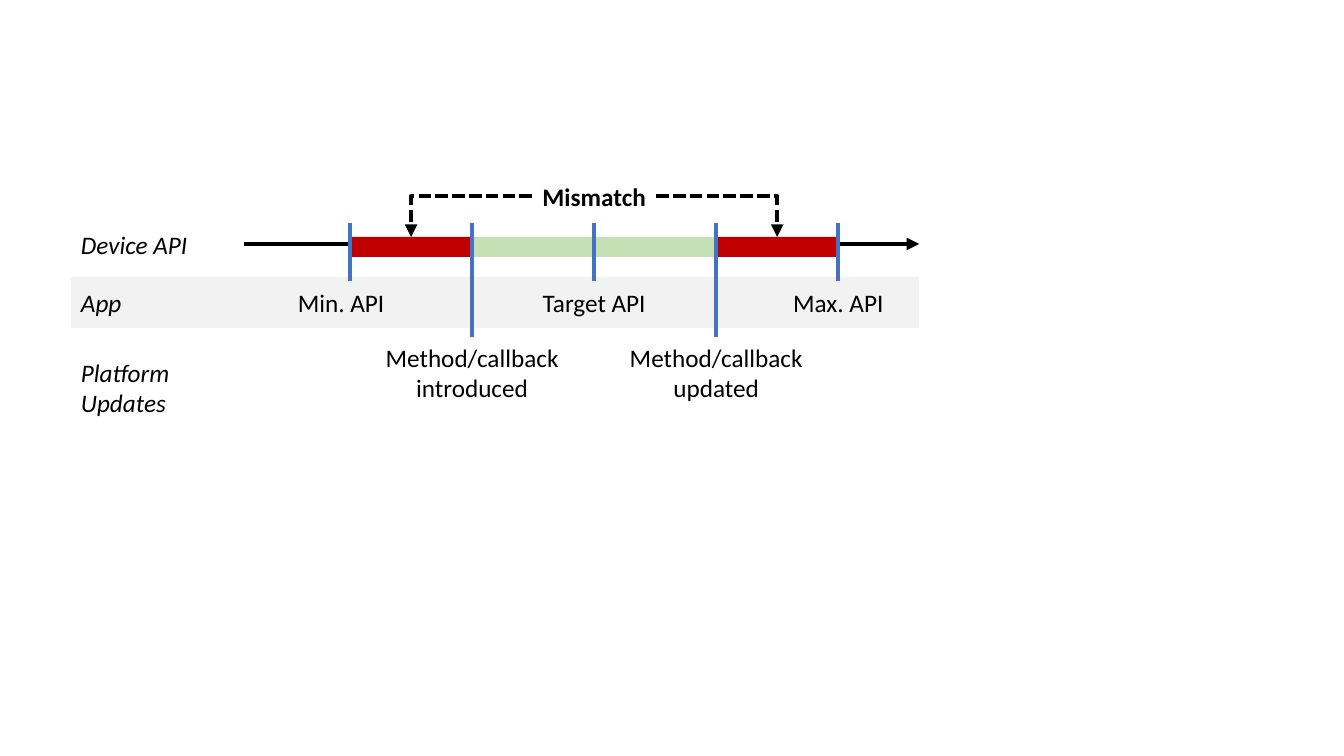
from lxml import etree
from pptx import Presentation
from pptx.dml.color import RGBColor
from pptx.enum.dml import MSO_LINE
from pptx.enum.shapes import MSO_CONNECTOR as CONN, MSO_SHAPE as SHAPE
from pptx.enum.text import MSO_AUTO_SIZE as AUTO, PP_ALIGN as ALIGN
from pptx.oxml.ns import qn
from pptx.util import Emu, Inches, Pt

COLORS = {"band": "F2F2F2", "ink": "000000", "mismatch": "C00000",
          "match": "C5E0B4", "tick": "4472C4"}
FONT = "Calibri"

# Content: row names (text, top), labels (lines, centre, top, width)
ROWS = [("Device API", 224, 129), ("App", 282, 61), ("Platform Updates", 352, 194)]
LABELS = [
    (["Min. API"], 341, 282, 108),
    (["Target API"], 594, 282, 124),
    (["Max. API"], 838, 282, 111),
    (["Method/callback", "introduced"], 472, 337, 196),
    (["Method/callback", "updated"], 716, 337, 196),
]
# Segments: first tick, last tick, colour
SEGMENTS = [(0, 1, "mismatch"), (3, 4, "mismatch"), (1, 3, "match")]
TICK_BOTTOMS = [281, 337, 281, 337, 281]

# Layout in px
LEFT, RIGHT = 71, 919
FIRST_TICK, TICK_GAP, TICK_TOP = 350, 122, 223
BAR_TOP, BAR_H, LINE_H = 237, 20, 36
AXIS_LEFT, AXIS_Y = 244, 244


def px(v):
    return Emu(round(v * 914400 / 100.8))


def rgb(name):
    return RGBColor.from_string(COLORS[name])


def add_rect(x, y, w, h, color):
    s = slide.shapes.add_shape(SHAPE.RECTANGLE, px(x), px(y), px(w), px(h))
    s.shadow.inherit = False
    s.fill.solid()
    s.fill.fore_color.rgb = rgb(color)
    s.line.fill.background()
    return s


def add_text(lines, x, y, w, align=ALIGN.CENTER, **style):
    h = 40 if len(lines) == 1 else 2 * LINE_H
    s = slide.shapes.add_textbox(px(x), px(y), px(w), px(h))
    tf = s.text_frame
    tf.word_wrap = False
    tf.auto_size = AUTO.SHAPE_TO_FIT_TEXT
    for i, line in enumerate(lines):
        p = tf.paragraphs[0] if i == 0 else tf.add_paragraph()
        p.alignment = align
        r = p.add_run()
        r.text = line
        r.font.color.rgb = rgb("ink")
        for key, value in {"name": FONT, "size": Pt(18), **style}.items():
            setattr(r.font, key, value)
    return s


def add_line(x1, y1, x2, y2, color, width, kind=CONN.STRAIGHT, arrow=False):
    c = slide.shapes.add_connector(kind, px(x1), px(y1), px(x2), px(y2))
    c.line.color.rgb = rgb(color)
    c.line.width = Pt(width)
    if arrow:
        etree.SubElement(c.line._get_or_add_ln(), qn("a:tailEnd"), type="triangle")
    etree.SubElement(c._element.spPr, qn("a:effectLst"))
    return c


prs = Presentation()
prs.slide_width, prs.slide_height = Inches(13.33), Inches(7.5)
slide = prs.slides.add_slide(prs.slide_layouts[6])
ticks = [FIRST_TICK + i * TICK_GAP for i in range(len(TICK_BOTTOMS))]

# App band and API axis
add_rect(LEFT, 277, RIGHT - LEFT, 51, "band")
add_line(AXIS_LEFT, AXIS_Y, RIGHT, AXIS_Y, "ink", 3, arrow=True)

# Row names and labels
for name, top, width in ROWS:
    add_text([name], LEFT, top, width, ALIGN.LEFT, italic=True)
for lines, centre, top, width in LABELS:
    add_text(lines, centre - width / 2, top, width)

# Segments and ticks
bars = [add_rect(ticks[a], BAR_TOP, ticks[b] - ticks[a], BAR_H, color)
        for a, b, color in SEGMENTS]
for x, bottom in zip(ticks, TICK_BOTTOMS):
    add_line(x, TICK_TOP, x, bottom, "tick", 2.5)

# Mismatch caption with a dashed arrow to each red segment
caption = add_text(["Mismatch"], ticks[2] - 62, 176, 124, bold=True)
for bar, side, x1, x2 in [(bars[0], 1, ticks[2] - 62, 411), (bars[1], 3, ticks[2] + 62, 777)]:
    c = add_line(x1, 196, x2, BAR_TOP, "ink", 3, CONN.ELBOW, arrow=True)
    c.line.dash_style = MSO_LINE.SQUARE_DOT
    c._element.spPr.find(qn("a:prstGeom")).set("prst", "bentConnector2")
    c.begin_connect(caption, side)
    c.end_connect(bar, 0)

prs.save("out.pptx")
